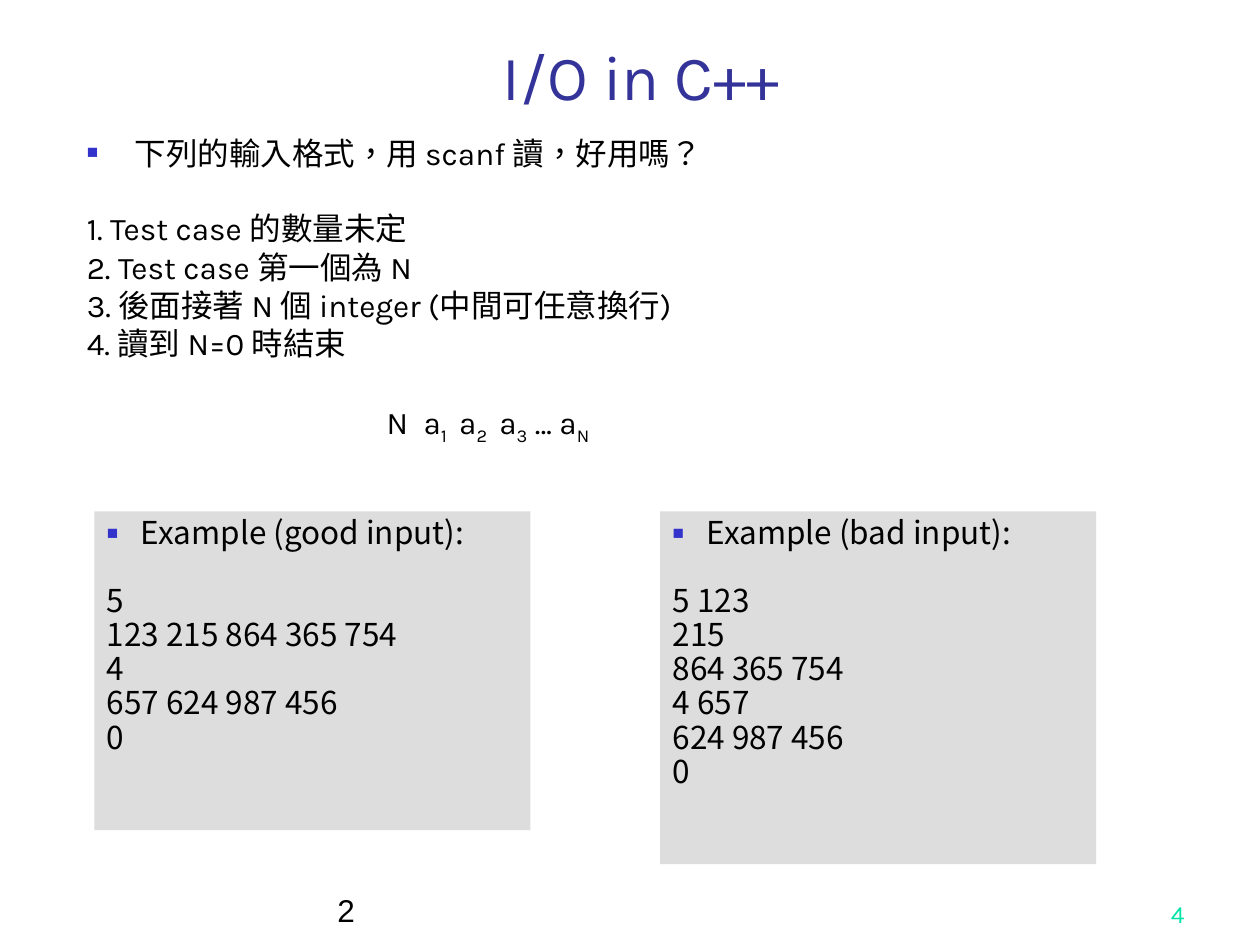
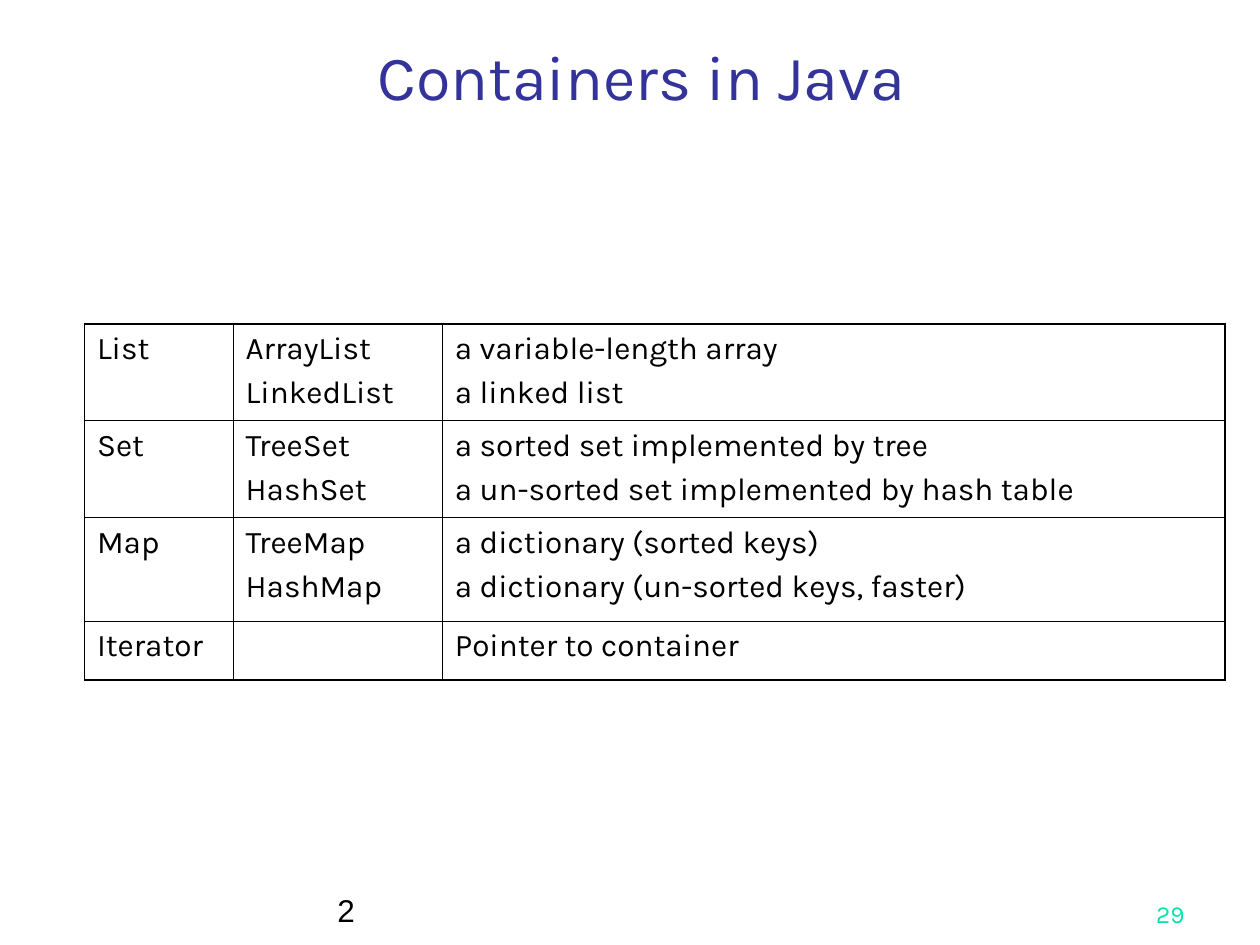
from dataclasses import dataclass

from lxml import etree
from pptx import Presentation
from pptx.dml.color import RGBColor
from pptx.enum.lang import MSO_LANGUAGE_ID
from pptx.enum.shapes import MSO_SHAPE
from pptx.enum.text import MSO_ANCHOR, PP_ALIGN
from pptx.oxml.ns import qn
from pptx.util import Inches, Pt

LEFT, CENTER, RIGHT = PP_ALIGN.LEFT, PP_ALIGN.CENTER, PP_ALIGN.RIGHT
TOP, BOTTOM = MSO_ANCHOR.TOP, MSO_ANCHOR.BOTTOM
RECTANGLE = MSO_SHAPE.RECTANGLE
TRADITIONAL_CHINESE = MSO_LANGUAGE_ID.TRADITIONAL_CHINESE


@dataclass(frozen=True)
class Theme:
    title_color: str = "333399"
    text_color: str = "000000"
    bullet_color: str = "3333CC"
    panel_color: str = "DDDDDD"
    number_color: str = "00E4A8"
    main_font: str = "Karla"
    example_font: str = "Noto Sans CJK SC"
    footer_font: str = "Arial"
    title_size: float = 36
    text_size: float = 18
    number_size: float = 14
    paragraph_gap: float = 4.5
    outer_border: float = 1.08
    inner_border: float = 0.45


THEME = Theme()


def add_child(parent, tag, **attributes):
    return etree.SubElement(parent, qn(tag), **attributes)


def add_bullet(properties):
    color = add_child(properties, "a:buClr")
    add_child(color, "a:srgbClr", val=THEME.bullet_color)
    add_child(properties, "a:buSzPct", val="60000")
    add_child(properties, "a:buFont", typeface=THEME.footer_font)
    add_child(properties, "a:buChar", char="■")


def write_text(paragraph, text, font=THEME.main_font, size=THEME.text_size,
               color=THEME.text_color, align=LEFT, bullet=False, indent=0,
               hanging=0, before=0, line_spacing=1.0):
    properties = paragraph._p.get_or_add_pPr()
    properties.set("marL", str(Inches(indent)))
    properties.set("indent", str(-Inches(hanging)))
    if bullet:
        add_bullet(properties)
    paragraph.alignment = align
    paragraph.space_before = Pt(before)
    paragraph.line_spacing = line_spacing
    pieces = [(text, {})] if isinstance(text, str) else text
    for words, attributes in pieces:
        run = paragraph.add_run()
        run.text = words
        run.font.name = font
        run.font.size = Pt(size)
        run.font.color.rgb = RGBColor.from_string(color)
        run.font.language_id = TRADITIONAL_CHINESE
        run_properties = run._r.get_or_add_rPr()
        add_child(run_properties, "a:ea", typeface=THEME.example_font)
        for name, value in attributes.items():
            run_properties.set(name, str(value))


def write_paragraphs(frame, lines, **shared):
    for index, (text, own) in enumerate(lines):
        paragraph = frame.add_paragraph() if index else frame.paragraphs[0]
        write_text(paragraph, text, **{**shared, **own})


def add_text(slide, box, lines, anchor=TOP, **shared):
    shape = slide.shapes.add_textbox(*map(Inches, box))
    frame = shape.text_frame
    frame.word_wrap = True
    frame.vertical_anchor = anchor
    write_paragraphs(frame, lines, **shared)


def add_panel(slide, box, heading, rows):
    panel = slide.shapes.add_shape(RECTANGLE, *map(Inches, box))
    panel.shadow.inherit = False
    panel.fill.solid()
    panel.fill.fore_color.rgb = RGBColor.from_string(THEME.panel_color)
    panel.line.fill.background()
    frame = panel.text_frame
    frame.word_wrap = True
    frame.vertical_anchor = TOP
    lines = [(heading, {"bullet": True, "indent": 0.27, "hanging": 0.27}),
             (rows[0], {"before": 19.4})]
    lines += [(row, {}) for row in rows[1:]]
    write_paragraphs(frame, lines, font=THEME.example_font, line_spacing=0.9)


def set_border(cell, side, width):
    line = add_child(cell._tc.get_or_add_tcPr(), f"a:{side}", w=str(Pt(width)))
    fill = add_child(line, "a:solidFill")
    add_child(fill, "a:srgbClr", val=THEME.text_color)


def add_grid(slide, left, top, widths, heights, rows):
    box = map(Inches, (left, top, sum(widths), sum(heights)))
    table = slide.shapes.add_table(len(heights), len(widths), *box).table
    table.first_row = table.horz_banding = False
    for column, width in zip(table.columns, widths):
        column.width = Inches(width)
    for row, height in zip(table.rows, heights):
        row.height = Inches(height)
    for row_index, row in enumerate(rows):
        for column_index, words in enumerate(row):
            cell = table.cell(row_index, column_index)
            edges = {"lnL": column_index == 0,
                     "lnR": column_index == len(widths) - 1,
                     "lnT": row_index == 0,
                     "lnB": row_index == len(heights) - 1}
            for side, is_outer in edges.items():
                set_border(cell, side, THEME.outer_border if is_outer else THEME.inner_border)
            cell.fill.background()
            lines = [(word, {"before": THEME.paragraph_gap if index else 0})
                     for index, word in enumerate(words)]
            write_paragraphs(cell.text_frame, lines)


def add_slide(presentation, title, number):
    slide = presentation.slides.add_slide(presentation.slide_layouts[6])
    add_text(slide, (0.83, 0.21, 8.52, 0.74), [(title, {})], anchor=BOTTOM,
             size=THEME.title_size, color=THEME.title_color, align=CENTER)
    add_text(slide, (2.58, 6.92, 5.42, 0.5), [("2", {})], anchor=BOTTOM,
             font=THEME.footer_font)
    add_text(slide, (7.42, 6.92, 2.08, 0.5), [(number, {})], anchor=BOTTOM,
             size=THEME.number_size, color=THEME.number_color, align=RIGHT)
    return slide


def add_input_slide(presentation):
    slide = add_slide(presentation, "I/O in C++", "4")
    subscript = {"baseline": -25000}
    term_gap = (" ", {"spc": 270})
    formula = [("N", {}), (" ", {"spc": 450}),
               ("a", {}), ("1", subscript), term_gap,
               ("a", {}), ("2", subscript), term_gap,
               ("a", {}), ("3", subscript), (" … a", {}), ("N", subscript)]
    section_gap = {"before": 26}
    add_text(slide, (0.59, 1.07, 8.35, 2.76), [
        ("下列的輸入格式，用 scanf 讀，好用嗎？", {"bullet": True, "before": 0}),
        ("1. Test case 的數量未定", section_gap),
        ("2. Test case 第一個為 N", {}),
        ("3. 後面接著 N 個 integer (中間可任意換行)", {}),
        ("4. 讀到 N=0 時結束", {}),
        (formula, {**section_gap, "indent": 2.38, "hanging": 0}),
    ], indent=0.38, hanging=0.38, before=THEME.paragraph_gap, line_spacing=0.8)
    add_panel(slide, (0.75, 4.06, 3.46, 2.53), "Example (good input):",
              ["5", "123 215 864 365 754", "4", "657 624 987 456", "0"])
    add_panel(slide, (5.24, 4.06, 3.46, 2.8), "Example (bad input):",
              ["5 123", "215", "864 365 754", "4 657", "624 987 456", "0"])


def add_container_slide(presentation):
    slide = add_slide(presentation, "Containers in Java", "29")
    add_grid(slide, 0.67, 2.57, (1.18, 1.66, 6.21), (0.77, 0.77, 0.82, 0.47), [
        (["List"], ["ArrayList", "LinkedList"],
         ["a variable-length array", "a linked list"]),
        (["Set"], ["TreeSet", "HashSet"],
         ["a sorted set implemented by tree",
          "a un-sorted set implemented by hash table"]),
        (["Map"], ["TreeMap", "HashMap"],
         ["a dictionary (sorted keys)", "a dictionary (un-sorted keys, faster)"]),
        (["Iterator"], [], ["Pointer to container"]),
    ])


def main():
    presentation = Presentation()
    presentation.slide_width = Inches(10)
    presentation.slide_height = Inches(7.5)
    add_input_slide(presentation)
    add_container_slide(presentation)
    presentation.save("out.pptx")


if __name__ == "__main__":
    main()
